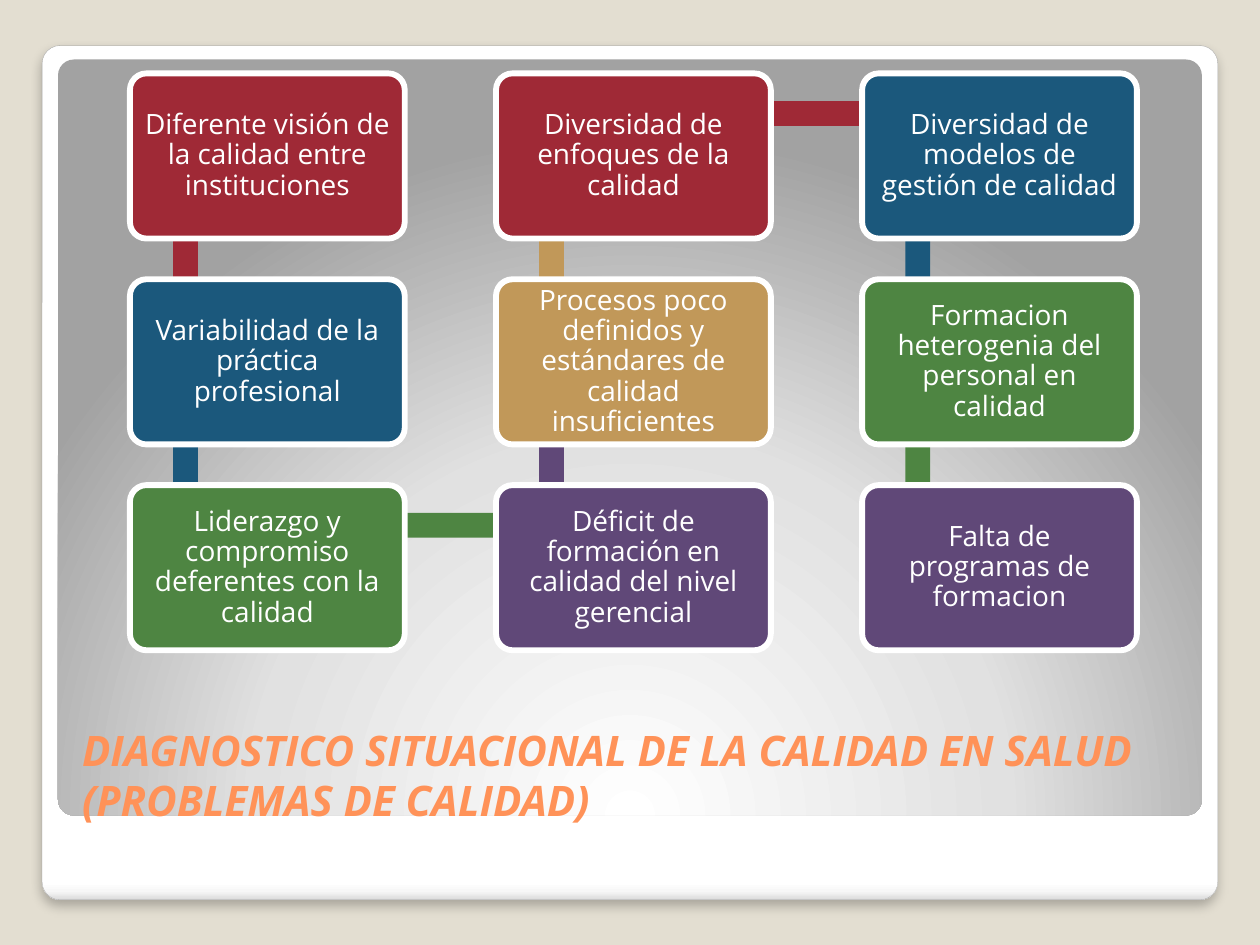
from lxml import etree
from pptx import Presentation
from pptx.dml.color import RGBColor
from pptx.enum.shapes import MSO_SHAPE
from pptx.enum.text import MSO_ANCHOR, MSO_AUTO_SIZE, PP_ALIGN
from pptx.oxml import parse_xml
from pptx.oxml.ns import nsdecls, qn
from pptx.util import Cm, Pt

FONT = "Open Sans"
BACKGROUND = RGBColor(0xE3, 0xDE, 0xD1)
WHITE = RGBColor(0xFF, 0xFF, 0xFF)
ORANGE = RGBColor(0xFF, 0x92, 0x58)
EDGE = RGBColor(0xA4, 0xA4, 0xA4)
RED = RGBColor(0x9F, 0x29, 0x36)
BLUE = RGBColor(0x1B, 0x58, 0x7C)
GREEN = RGBColor(0x4E, 0x85, 0x42)
PURPLE = RGBColor(0x60, 0x48, 0x78)
TAN = RGBColor(0xC1, 0x98, 0x59)
STEP_COLORS = [RED, BLUE, GREEN, PURPLE, TAN]

TITLE = "DIAGNOSTICO SITUACIONAL DE LA CALIDAD EN SALUD (PROBLEMAS DE CALIDAD)"
PROBLEMS = [
    "Diferente visión de la calidad entre instituciones",
    "Variabilidad de la práctica profesional",
    "Liderazgo y compromiso deferentes con la calidad",
    "Déficit de formación en calidad del nivel gerencial",
    "Procesos poco definidos y estándares de calidad insuficientes",
    "Diversidad de enfoques de la calidad",
    "Diversidad de modelos de gestión de calidad",
    "Formacion heterogenia del personal en calidad",
    "Falta de programas de formacion",
]

ROWS = 3
GRID_LEFT, GRID_TOP = 2.62, 1.48
PITCH_X, PITCH_Y = 7.38, 4.15
BOX_W, BOX_H = 5.54, 3.33
BAR = 0.5

CARD_STOPS = [(0, "FFFFFF"), (98, "FFFFFF"), (99, "F7F7F7"), (100, "DADADA")]
CARD_SHADE = '<a:lin ang="5400000" scaled="0"/>'
PANEL_STOPS = [(0, "FFFFFF"), (55, "E1E1E1"), (100, "A2A2A2")]
PANEL_SHADE = ('<a:path path="circle"><a:fillToRect l="50000" t="175000" '
               'r="50000" b="-75000"/></a:path>')
CARD_SHADOW = ('<a:outerShdw blurRad="76200" dist="50800" dir="5400000" algn="tl" '
               'rotWithShape="0"><a:srgbClr val="000000"><a:alpha val="25000"/>'
               '</a:srgbClr></a:outerShdw>')


def add_block(slide, kind, left, top, width, height, color=None):
    """Add a preset shape in centimetres with no shadow or line."""
    block = slide.shapes.add_shape(kind, Cm(left), Cm(top), Cm(width), Cm(height))
    block.shadow.inherit = False
    block.line.fill.background()
    if color is not None:
        block.fill.solid()
        block.fill.fore_color.rgb = color
    return block


def add_panel(slide, left, top, width, height, stops, shade):
    """Add a rounded panel filled with a gradient."""
    panel = add_block(slide, MSO_SHAPE.ROUNDED_RECTANGLE, left, top, width, height)
    panel.adjustments[0] = 0.021
    stop_xml = "".join(
        f'<a:gs pos="{pos * 1000}"><a:srgbClr val="{color}"/></a:gs>'
        for pos, color in stops)
    geometry = panel.element.spPr.find(qn("a:prstGeom"))
    geometry.addnext(parse_xml(
        f'<a:gradFill {nsdecls("a")} rotWithShape="1">'
        f'<a:gsLst>{stop_xml}</a:gsLst>{shade}</a:gradFill>'))
    return panel


def add_backdrop(slide):
    """Add the background colour, the white card and the grey panel."""
    slide.background.fill.solid()
    slide.background.fill.fore_color.rgb = BACKGROUND
    card = add_panel(slide, 0.85, 0.92, 23.7, 17.22, CARD_STOPS, CARD_SHADE)
    card.line.color.rgb = EDGE
    card.line.width = Pt(0.16)
    effects = card.element.spPr.find(qn("a:effectLst"))
    shadow = etree.fromstring(f'<a:effectLst {nsdecls("a")}>{CARD_SHADOW}</a:effectLst>')
    effects.append(shadow[0])
    add_panel(slide, 1.17, 1.2, 23.06, 15.24, PANEL_STOPS, PANEL_SHADE)


def format_run(run, size, color):
    """Set the font, size and colour of a run."""
    run.font.name = FONT
    run.font.size = Pt(size)
    run.font.color.rgb = color


def place_title(slide):
    """Fill the title placeholder and bring it in front of the panels."""
    title = slide.shapes.title
    title.left, title.top, title.width, title.height = (
        Cm(1.4), Cm(13.84), Cm(22.73), Cm(2.92))
    frame = title.text_frame
    frame.auto_size = MSO_AUTO_SIZE.NONE
    frame.word_wrap = True
    frame.vertical_anchor = MSO_ANCHOR.BOTTOM
    paragraph = frame.paragraphs[0]
    paragraph.alignment = PP_ALIGN.LEFT
    run = paragraph.add_run()
    run.text = TITLE
    format_run(run, 24, ORANGE)
    run.font.bold = run.font.italic = True
    title.element.getparent().append(title.element)


def box_origin(step):
    """Return the corner of a step on a path going down, up and down."""
    column, row = divmod(step, ROWS)
    if column % 2:
        row = ROWS - 1 - row
    return GRID_LEFT + column * PITCH_X, GRID_TOP + row * PITCH_Y


def add_bar(slide, step, color):
    """Add the bar that leads from a step to the next one."""
    left, top = box_origin(step)
    next_left, next_top = box_origin(step + 1)
    if left == next_left:
        place = (left + 0.87, min(top, next_top) + 0.83, BAR, PITCH_Y)
    else:
        place = (left + 1.14, top + 0.56, PITCH_X, BAR)
    add_block(slide, MSO_SHAPE.RECTANGLE, *place, color)


def add_box(slide, step, text, color):
    """Add the rounded box of a step with its text."""
    box = add_block(slide, MSO_SHAPE.ROUNDED_RECTANGLE, *box_origin(step),
                    BOX_W, BOX_H, color)
    box.adjustments[0] = 0.1
    box.line.color.rgb = WHITE
    box.line.width = Pt(3.35)
    frame = box.text_frame
    frame.word_wrap = True
    frame.vertical_anchor = MSO_ANCHOR.MIDDLE
    frame.margin_left = frame.margin_right = Cm(0.17)
    frame.margin_top = frame.margin_bottom = Cm(0.17)
    paragraph = frame.paragraphs[0]
    paragraph.alignment = PP_ALIGN.CENTER
    paragraph.line_spacing = 0.9
    run = paragraph.add_run()
    run.text = text
    format_run(run, 16, WHITE)


def main():
    """Build the slide and save it."""
    deck = Presentation()
    deck.slide_width, deck.slide_height = Cm(25.4), Cm(19.05)
    slide = deck.slides.add_slide(deck.slide_layouts[5])
    add_backdrop(slide)
    place_title(slide)
    for step, text in enumerate(PROBLEMS):
        color = STEP_COLORS[step % len(STEP_COLORS)]
        if step < len(PROBLEMS) - 1:
            add_bar(slide, step, color)
        add_box(slide, step, text, color)
    deck.save("out.pptx")


main()
